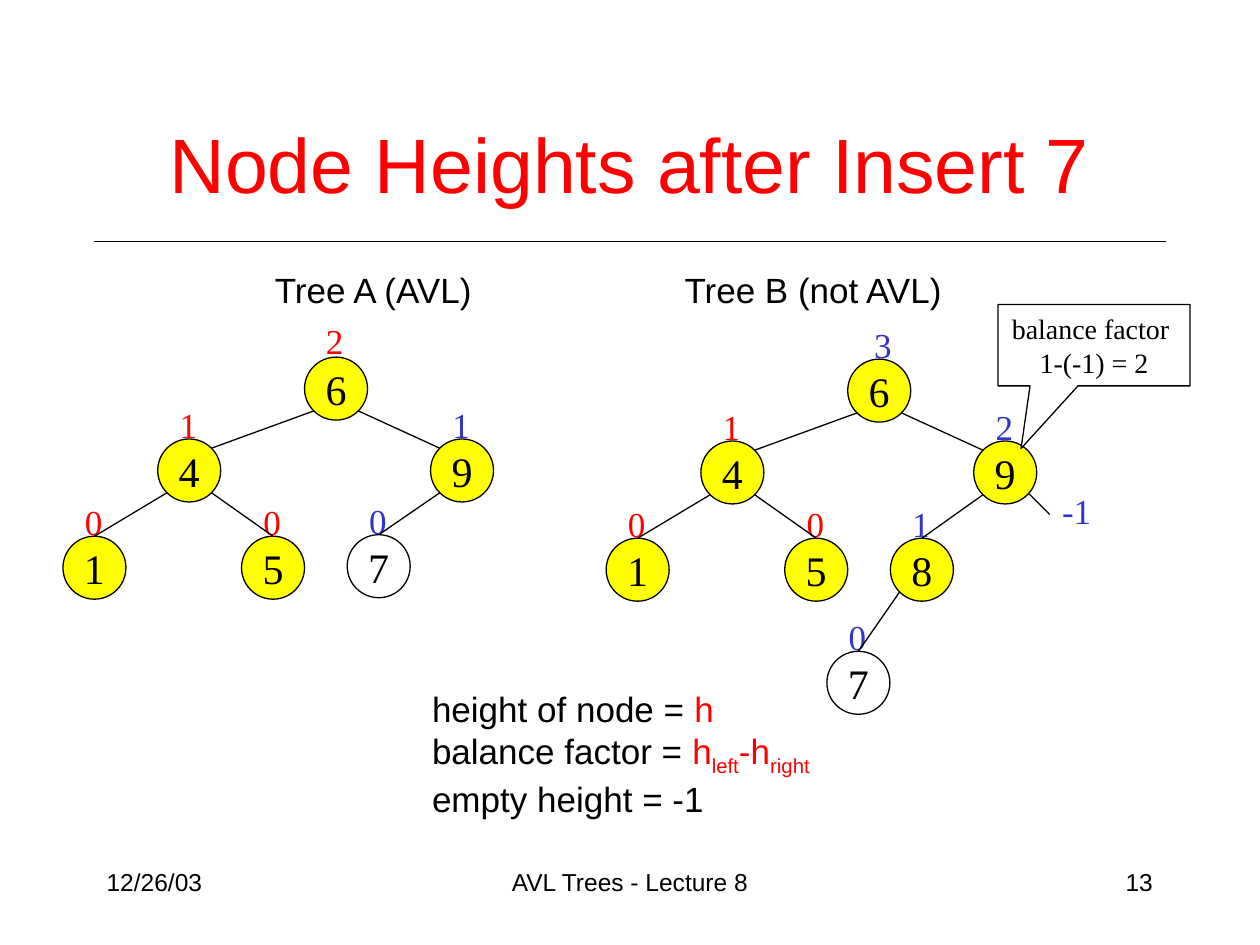
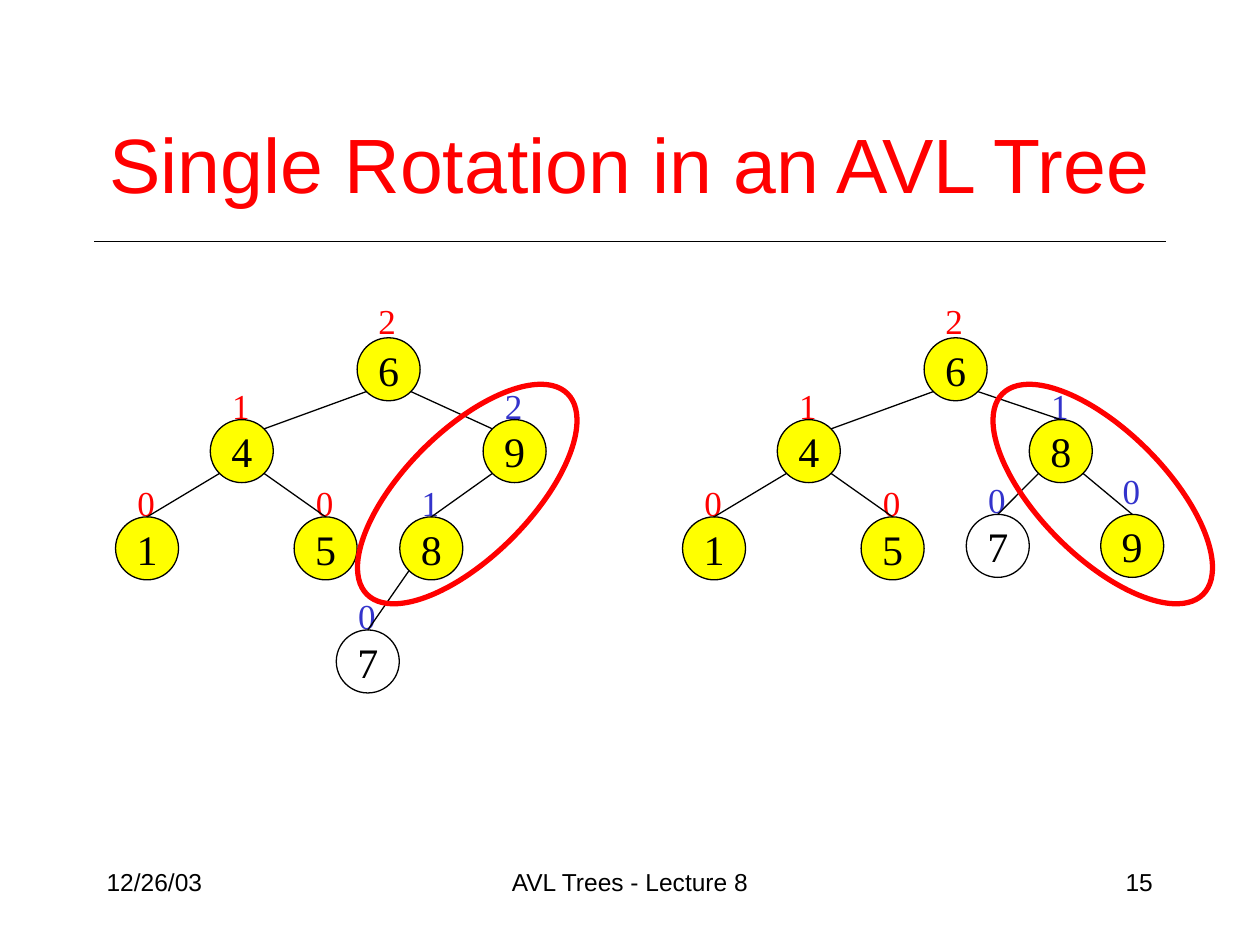
from dataclasses import dataclass
from math import sqrt

import pptx
import pptx.dml.color
import pptx.enum.shapes
import pptx.enum.text
import pptx.oxml
import pptx.oxml.ns
import pptx.util
from pptx.util import Cm

BLACK = pptx.dml.color.RGBColor(0, 0, 0)
WHITE = pptx.dml.color.RGBColor(255, 255, 255)
RED = pptx.dml.color.RGBColor(255, 0, 0)
BLUE = pptx.dml.color.RGBColor(0x33, 0x33, 0xCC)
YELLOW = pptx.dml.color.RGBColor(255, 255, 0)
SANS = "Arial"
SERIF = "Times New Roman"
ALIGN = pptx.enum.text.PP_ALIGN
ANCHOR = pptx.enum.text.MSO_ANCHOR
SHAPE = pptx.enum.shapes.MSO_SHAPE

DIAMETER = 1.27
NEAR = DIAMETER / 2 * (1 - 1 / sqrt(2))
FAR = DIAMETER - NEAR


@dataclass(frozen=True)
class Area:
    left: float
    top: float
    width: float
    height: float

    def lengths(self) -> tuple:
        return Cm(self.left), Cm(self.top), Cm(self.width), Cm(self.height)


@dataclass(frozen=True)
class Style:
    size: int
    font: str = SANS
    color: pptx.dml.color.RGBColor = BLACK
    align: int = ALIGN.LEFT
    anchor: int = ANCHOR.TOP
    wrap: bool = False


@dataclass(frozen=True)
class Node:
    key: int
    height: int
    x: float
    y: float
    parent: int | None = None
    color: pptx.dml.color.RGBColor = BLUE
    is_new: bool = False
    edge_to_corner: bool = False
    label_x: float = 0.19
    label_y: float = -0.84


@dataclass(frozen=True)
class Tree:
    left: float
    top: float
    nodes: tuple[Node, ...]


@dataclass(frozen=True)
class Span:
    text: str
    color: pptx.dml.color.RGBColor = BLACK
    subscript: bool = False


ROOT = Node(6, 2, 0, 0, color=RED, label_x=0.18, label_y=-0.89)
TALL_ROOT = Node(6, 3, 0, 0, label_x=0.28)
LEFT_BRANCH = (
    Node(4, 1, -2.96, 1.65, 6, RED, edge_to_corner=True),
    Node(1, 0, -4.87, 3.61, 4, RED),
    Node(5, 0, -1.27, 3.61, 4, RED),
)
BALANCED = (
    Node(9, 1, 2.54, 1.65, 6, edge_to_corner=True),
    Node(7, 0, 0.86, 3.58, 9, is_new=True),
)
UNBALANCED = (
    Node(9, 2, 2.54, 1.65, 6, edge_to_corner=True),
    Node(8, 1, 0.86, 3.61, 9),
    Node(7, 0, -0.42, 5.89, 8, is_new=True),
)
ROTATED = (
    Node(8, 1, 2.12, 1.65, 6),
    Node(7, 0, 0.85, 3.56, 8, is_new=True),
    Node(9, 0, 3.56, 3.56, 8, label_y=-1.04),
)
FORMULAS = (
    (Span("height of node = "), Span("h", RED)),
    (Span("balance factor = "), Span("h", RED), Span("left", RED, True),
     Span("-h", RED), Span("right", RED, True)),
    (Span("empty height = -1"),),
)

TITLE = Style(44, color=RED, align=ALIGN.CENTER, anchor=ANCHOR.MIDDLE, wrap=True)
CAPTION = Style(20, wrap=True)
KEY = Style(24, SERIF, align=ALIGN.CENTER, anchor=ANCHOR.MIDDLE)
CALLOUT = Style(16, SERIF, align=ALIGN.CENTER, anchor=ANCHOR.MIDDLE)


def format_span(span, style: Style) -> None:
    span.font.size = pptx.util.Pt(style.size)
    span.font.name = style.font
    span.font.color.rgb = style.color


def write(box, text: str, style: Style) -> None:
    frame = box.text_frame
    frame.text = text
    frame.word_wrap = style.wrap
    frame.vertical_anchor = style.anchor
    for para in frame.paragraphs:
        para.alignment = style.align
        for span in para.runs:
            format_span(span, style)


def add_text(page, text: str, area: Area, style: Style) -> None:
    write(page.shapes.add_textbox(*area.lengths()), text, style)


def add_height(page, text: str, left: float, top: float, color, width: float = 0.86) -> None:
    add_text(page, text, Area(left, top, width, 1.1), Style(20, SERIF, color))


def add_line(page, x1: float, y1: float, x2: float, y2: float) -> None:
    line = page.shapes.add_connector(
        pptx.enum.shapes.MSO_CONNECTOR.STRAIGHT, Cm(x1), Cm(y1), Cm(x2), Cm(y2))
    line.line.color.rgb = BLACK
    line.line.width = pptx.util.Pt(0.75)
    properties = line._element.spPr
    properties.append(pptx.oxml.parse_xml(
        "<a:effectLst %s/>" % pptx.oxml.ns.nsdecls("a")))


def add_outline(page, kind, area: Area, fill=None, line=BLACK, weight: float = 0.75):
    shape = page.shapes.add_shape(kind, *area.lengths())
    shape.shadow.inherit = False
    if fill is None:
        shape.fill.background()
    else:
        shape.fill.solid()
        shape.fill.fore_color.rgb = fill
    shape.line.color.rgb = line
    shape.line.width = pptx.util.Pt(weight)
    return shape


def add_tree(page, tree: Tree) -> None:
    by_key = {node.key: node for node in tree.nodes}
    for node in tree.nodes:
        add_height(page, str(node.height), tree.left + node.x + node.label_x,
                   tree.top + node.y + node.label_y, node.color)
    for node in tree.nodes:
        area = Area(tree.left + node.x, tree.top + node.y, DIAMETER, DIAMETER)
        circle = add_outline(page, SHAPE.OVAL, area, None if node.is_new else YELLOW)
        write(circle, str(node.key), KEY)
    for node in tree.nodes:
        if node.parent is None:
            continue
        parent = by_key[node.parent]
        start, corner = (NEAR, FAR) if node.x < parent.x else (FAR, NEAR)
        end_x, end_y = (corner, NEAR) if node.edge_to_corner else (DIAMETER / 2, 0)
        add_line(page, tree.left + parent.x + start, tree.top + parent.y + FAR,
                 tree.left + node.x + end_x, tree.top + node.y + end_y)


def add_formulas(page) -> None:
    frame = page.shapes.add_textbox(*Area(8.46, 13.74, 8.26, 2.79).lengths()).text_frame
    frame.word_wrap = False
    for index, formula in enumerate(FORMULAS):
        para = frame.add_paragraph() if index else frame.paragraphs[0]
        for part in formula:
            span = para.add_run()
            span.text = part.text
            format_span(span, Style(20, color=part.color))
            if part.subscript:
                span.font._element.set("baseline", "-25000")


def add_callout(page) -> None:
    callout = add_outline(page, SHAPE.RECTANGULAR_CALLOUT, Area(20.12, 6.14, 3.87, 1.64), WHITE)
    callout.adjustments[0] = -0.38
    callout.adjustments[1] = 1.27
    write(callout, "balance factor \n1-(-1) = 2", CALLOUT)


def add_ring(page, left: float, rotation: int) -> None:
    ring = add_outline(page, SHAPE.OVAL, Area(left, 8.69, 5.72, 2.54), line=RED, weight=3)
    ring.rotation = rotation


def add_page(deck, title: str, number: int):
    page = deck.slides.add_slide(deck.slide_layouts[6])
    add_line(page, 1.9, 4.87, 23.5, 4.87)
    footers = (
        ("12/26/03", 1.9, 5.29, ALIGN.LEFT),
        ("AVL Trees - Lecture 8", 8.68, 8.04, ALIGN.CENTER),
        (str(number), 18.2, 5.29, ALIGN.RIGHT),
    )
    for text, left, width, align in footers:
        add_text(page, text, Area(left, 17.36, width, 1.27), Style(14, align=align, wrap=True))
    add_text(page, title, Area(1.9, 1.7, 21.6, 3.17), TITLE)
    return page


def add_heights_page(deck) -> None:
    page = add_page(deck, "Node Heights after Insert 7", 13)
    add_tree(page, Tree(17.09, 7.24, (TALL_ROOT, *LEFT_BRANCH, *UNBALANCED)))
    add_tree(page, Tree(6.14, 7.2, (ROOT, *LEFT_BRANCH, *BALANCED)))
    add_formulas(page)
    add_callout(page)
    add_line(page, 20.75, 9.96, 21.16, 10.37)
    add_height(page, "-1", 21.16, 9.74, BLUE, 1.09)
    add_text(page, "Tree A (AVL)", Area(5.29, 5.29, 4.66, 1.1), CAPTION)
    add_text(page, "Tree B (not AVL)", Area(13.55, 5.29, 6.35, 1.1), CAPTION)


def add_rotation_page(deck) -> None:
    page = add_page(deck, "Single Rotation in an AVL Tree", 15)
    add_tree(page, Tree(7.2, 6.81, (ROOT, *LEFT_BRANCH, *UNBALANCED)))
    add_tree(page, Tree(18.63, 6.81, (ROOT, *LEFT_BRANCH, *ROTATED)))
    add_ring(page, 6.56, 315)
    add_ring(page, 19.37, 45)


def main() -> None:
    deck = pptx.Presentation()
    deck.slide_width = Cm(25.4)
    deck.slide_height = Cm(19.05)
    add_heights_page(deck)
    add_rotation_page(deck)
    deck.save("out.pptx")


if __name__ == "__main__":
    main()
